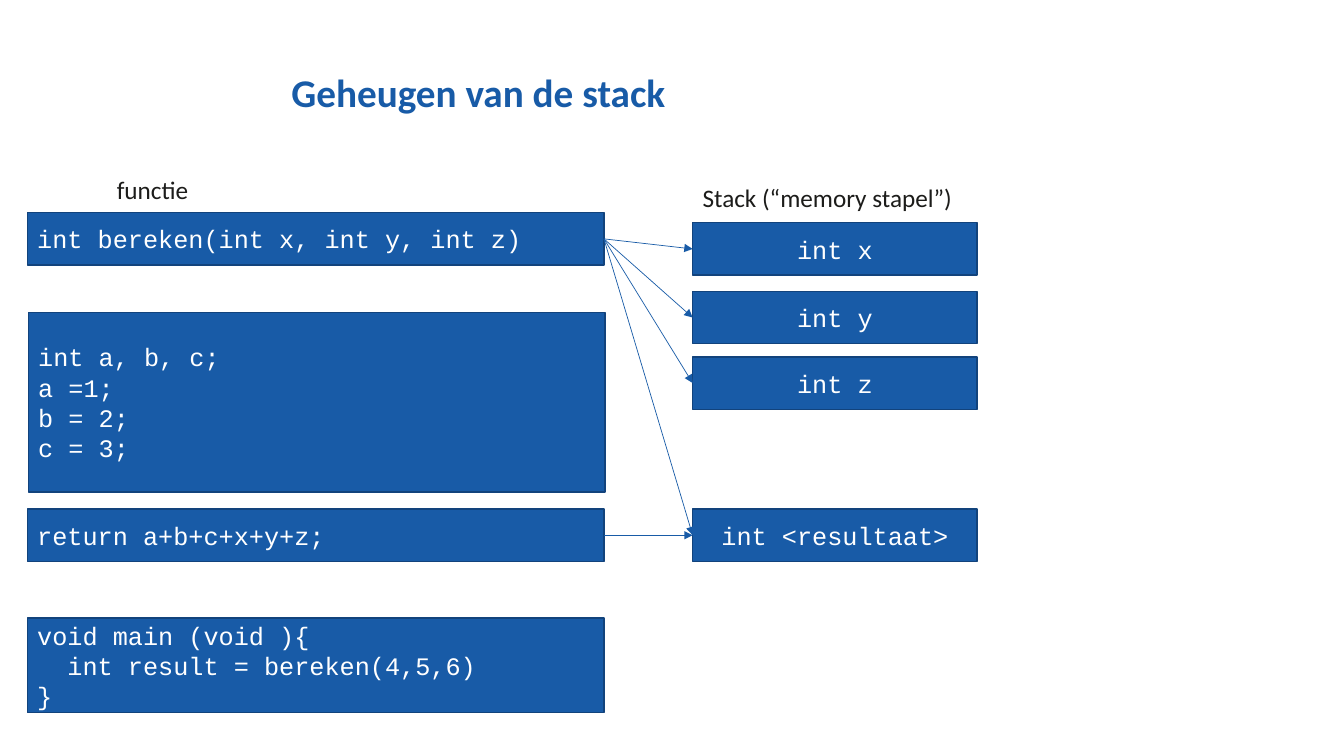
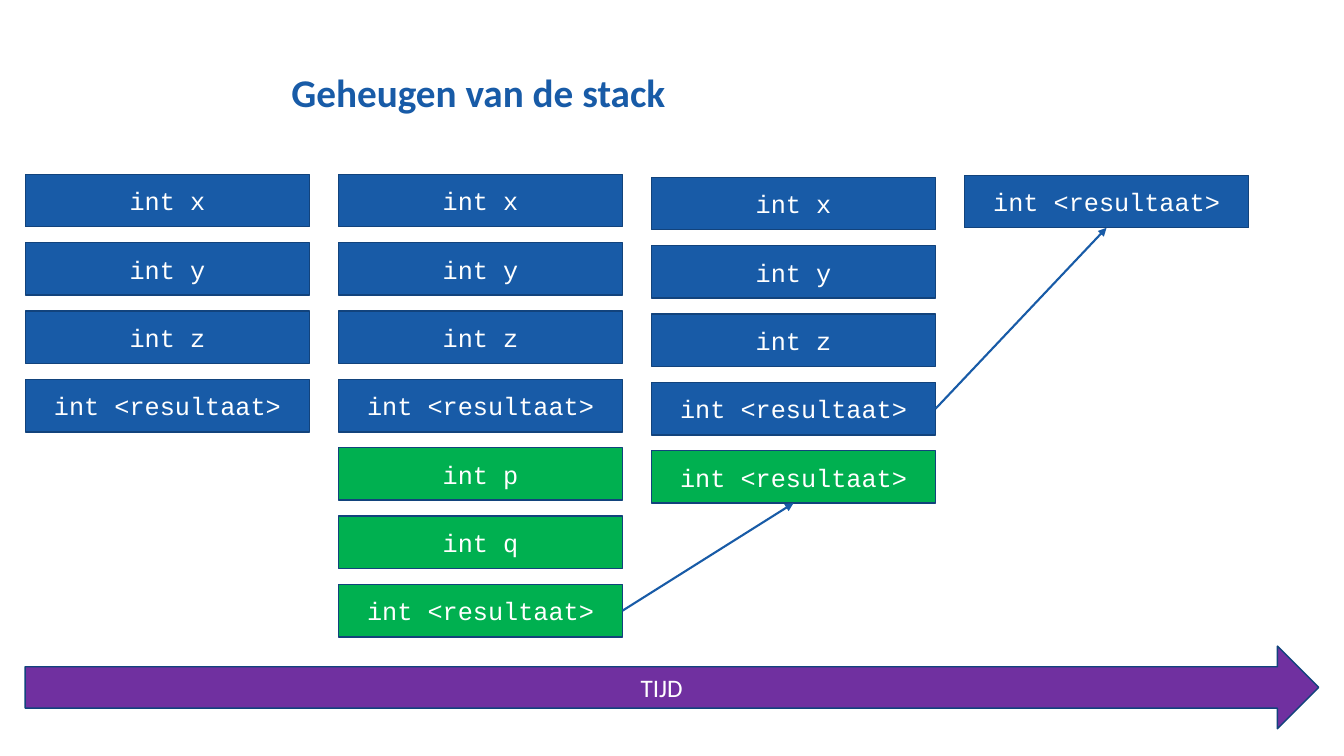
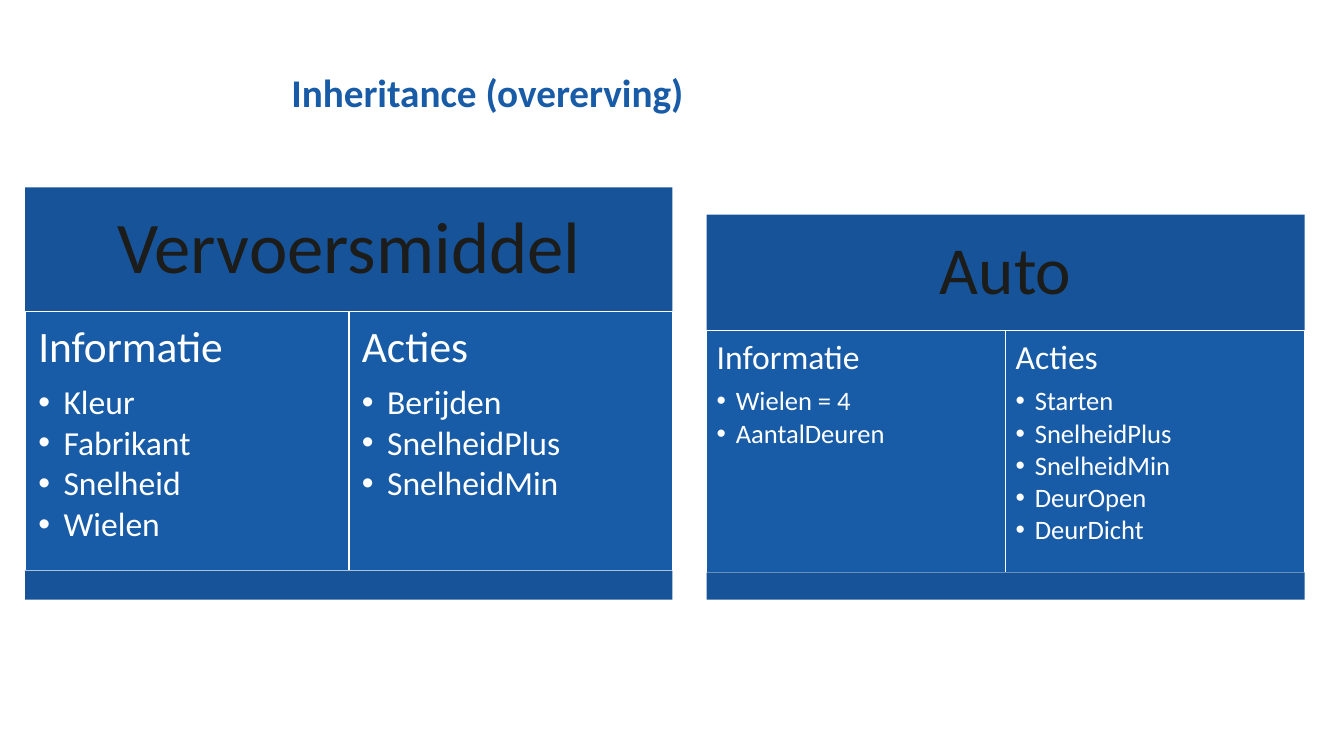
from lxml import etree
from pptx import Presentation
from pptx.dml.color import RGBColor
from pptx.enum import shapes, text
from pptx.oxml.ns import qn
from pptx.util import Inches, Pt

BLUE, DARK_BLUE, EDGE = "185BA7", "165398", "12437C"
GREEN, PURPLE, WHITE, INK = "00B050", "7030A0", "FFFFFF", "1C1C1A"
SANS, CODE = "Calibri", "Courier New"
TOP, LEFT, BOTTOM, RIGHT = range(4)
CENTER = text.PP_ALIGN.CENTER
MIDDLE, UPPER = text.MSO_ANCHOR.MIDDLE, text.MSO_ANCHOR.TOP


def rgb(value):
    return RGBColor.from_string(value)


def add_bullet(p, indent):
    """Give a paragraph a hanging round bullet."""
    pPr = p._p.get_or_add_pPr()
    pPr.set("marL", str(Inches(indent)))
    pPr.set("indent", str(-Inches(indent)))
    etree.SubElement(pPr, qn("a:buFont")).set("typeface", "Arial")
    etree.SubElement(pPr, qn("a:buChar")).set("char", "•")


def write(tf, lines, size=18, font=SANS, color=WHITE, bold=False, align=None,
          anchor=MIDDLE, spacing=None, inset=None, wrap=True):
    tf.word_wrap = wrap
    tf.vertical_anchor = anchor
    if inset is not None:
        tf.margin_left = tf.margin_right = Inches(inset)
        tf.margin_top = tf.margin_bottom = Inches(inset)
    for i, line in enumerate(lines):
        p = tf.paragraphs[0] if i == 0 else tf.add_paragraph()
        p.alignment = align or text.PP_ALIGN.LEFT
        if spacing:
            p.line_spacing = spacing
        r = p.add_run()
        r.text = line
        r.font.size, r.font.name, r.font.bold = Pt(size), font, bold
        r.font.color.rgb = rgb(color)


class Deck:
    def __init__(self):
        self.prs = Presentation()
        self.prs.slide_width, self.prs.slide_height = Inches(13.33), Inches(7.5)
        self.slide = None

    def new_slide(self, title):
        self.slide = self.prs.slides.add_slide(self.prs.slide_layouts[6])
        self.label(title, 2.89, 0.75, 9.39, 0.38, size=28, color=BLUE,
                   bold=True, spacing=0.9, inset=0)

    def label(self, words, x, y, w, h, **fmt):
        sp = self.slide.shapes.add_textbox(Inches(x), Inches(y), Inches(w), Inches(h))
        write(sp.text_frame, [words], **fmt)

    def shape(self, x, y, w, h, lines=(), fill=BLUE, line=EDGE,
              kind=shapes.MSO_SHAPE.RECTANGLE, **fmt):
        sp = self.slide.shapes.add_shape(kind, Inches(x), Inches(y), Inches(w), Inches(h))
        sp.shadow.inherit = False
        sp.fill.solid()
        sp.fill.fore_color.rgb = rgb(fill)
        if line:
            sp.line.color.rgb = rgb(line)
            sp.line.width = Pt(1)
        else:
            sp.line.fill.background()
        write(sp.text_frame, lines, **fmt)
        return sp

    def code(self, y, h, *lines, x=0.27):
        return self.shape(x, y, 5.72, h, lines, font=CODE)

    def variable(self, x, y, name, fill=BLUE):
        return self.shape(x, y, 2.82, 0.52, [name], fill=fill, font=CODE, align=CENTER)

    def arrow(self, start, end, side=LEFT, width=0.5):
        """Arrow from the right side of one box to a side of another."""
        cx = self.slide.shapes.add_connector(shapes.MSO_CONNECTOR.STRAIGHT, 0, 0, 0, 0)
        cx.begin_connect(start, RIGHT)
        cx.end_connect(end, side)
        cx.line.color.rgb = rgb(BLUE)
        cx.line.width = Pt(width)
        etree.SubElement(cx.line._get_or_add_ln(), qn("a:tailEnd")).set("type", "triangle")
        etree.SubElement(cx._element.spPr, qn("a:effectLst"))

    def class_card(self, x, y, w, heights, name, sizes, inset, indent, columns):
        """Class name over side-by-side member lists, closed by a band."""
        head_h, body_h, foot_h = heights
        name_size, heading_size, item_size = sizes
        self.shape(x, y, w, head_h, [name], DARK_BLUE, None, size=name_size,
                   color=INK, align=CENTER, spacing=0.9)
        col_w = w / len(columns)
        for i, (heading, items) in enumerate(columns.items()):
            sp = self.shape(x + i * col_w, y + head_h, col_w, body_h, [heading, *items],
                            line=WHITE, size=item_size, anchor=UPPER,
                            spacing=0.9, inset=inset)
            first, *rest = sp.text_frame.paragraphs
            first.runs[0].font.size = Pt(heading_size)
            first.space_after = Pt(round(heading_size * 0.33, 1))
            for p in rest:
                p.space_after = Pt(round(item_size * 0.13, 1))
                add_bullet(p, indent)
        self.shape(x, y + head_h + body_h, w, foot_h, fill=DARK_BLUE, line=None)


def stack_slide(deck):
    deck.new_slide("Geheugen van de stack")
    deck.label("functie", 1.06, 1.68, 0.92, 0.4, color=INK, wrap=False)
    deck.label("Stack (“memory stapel”)", 6.87, 1.76, 2.7, 0.4, color=INK, wrap=False)
    signature = deck.code(2.11, 0.52, "int bereken(int x, int y, int z)")
    deck.code(3.1, 1.78, "int a, b, c;", "a =1;", "b = 2;", "c = 3;", x=0.28)
    returning = deck.code(5.05, 0.52, "return a+b+c+x+y+z;")
    deck.code(6.13, 0.94, "void main (void ){", "  int result = bereken(4,5,6)", "}")
    slots = {"int x": 2.21, "int y": 2.89, "int z": 3.54, "int <resultaat>": 5.05}
    for name, y in slots.items():
        slot = deck.variable(6.87, y, name)
        deck.arrow(signature, slot)
    deck.arrow(returning, slot)


def timeline_slide(deck):
    deck.new_slide("Geheugen van de stack")
    result = "int <resultaat>"
    outer = ["int x", "int y", "int z", result]
    moments = [
        (1.73, outer, []),
        (1.73, outer, ["int p", "int q", result]),
        (1.76, outer, [result]),
        (1.74, [result], []),
    ]
    stacks = []
    for col, (top, blue, green) in enumerate(moments):
        stacks.append([
            deck.variable(0.25 + 3.105 * col, top + 0.678 * row, name,
                          BLUE if row < len(blue) else GREEN)
            for row, name in enumerate(blue + green)])
    _, calling, returned, finished = stacks
    deck.arrow(calling[-1], returned[-1], BOTTOM, 1.5)
    deck.arrow(returned[3], finished[0], BOTTOM, 1.5)
    deck.shape(0.25, 6.41, 12.83, 0.82, ["TIJD"], PURPLE,
               kind=shapes.MSO_SHAPE.RIGHT_ARROW, align=CENTER)


def inheritance_slide(deck):
    deck.new_slide("Inheritance (overerving)")
    deck.class_card(
        0.25, 1.86, 6.42, (1.23, 2.57, 0.29), "Vervoersmiddel", (52, 31, 24), 0.13, 0.25,
        {"Informatie": ["Kleur", "Fabrikant", "Snelheid", "Wielen"],
         "Acties": ["Berijden", "SnelheidPlus", "SnelheidMin"]})
    deck.class_card(
        7.01, 2.13, 5.93, (1.15, 2.4, 0.27), "Auto", (48, 24, 19), 0.1, 0.19,
        {"Informatie": ["Wielen = 4", "AantalDeuren"],
         "Acties": ["Starten", "SnelheidPlus", "SnelheidMin", "DeurOpen", "DeurDicht"]})


def main():
    deck = Deck()
    stack_slide(deck)
    timeline_slide(deck)
    inheritance_slide(deck)
    deck.prs.save("out.pptx")


if __name__ == "__main__":
    main()
